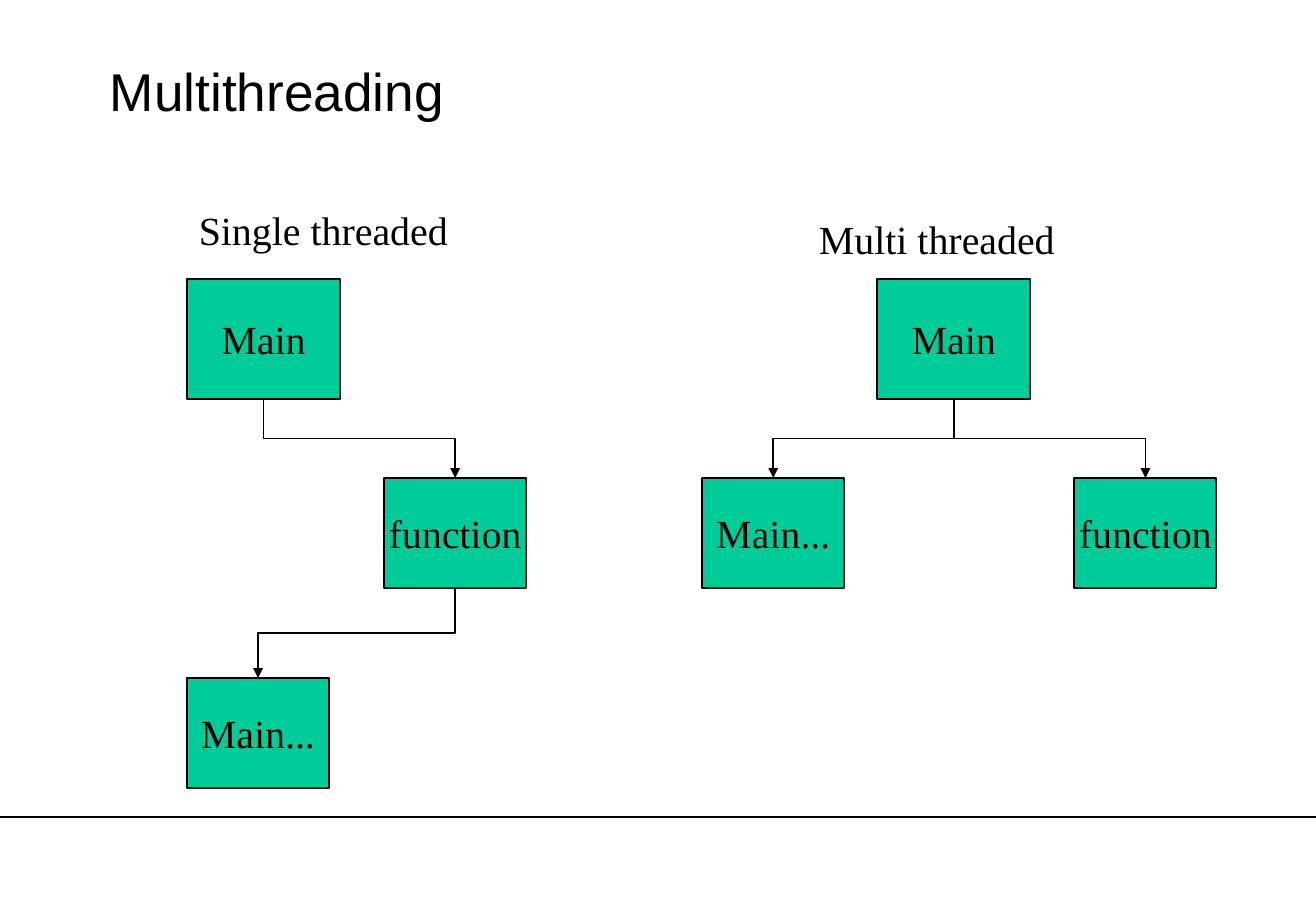
from lxml.etree import SubElement
from pptx import Presentation
from pptx.dml.color import RGBColor
from pptx.enum.shapes import MSO_CONNECTOR, MSO_SHAPE
from pptx.enum.text import MSO_ANCHOR, MSO_AUTO_SIZE, PP_ALIGN
from pptx.oxml.ns import qn
from pptx.util import Inches, Pt

EMU_PER_PX = 914400 / 119.6
COLORS = {"ink": "000000", "box": "00CC99"}


def px(length):
    return round(length * EMU_PER_PX)


class Diagram:
    heading_font = "Arial"
    body_font = "Times New Roman"
    body_size = 24

    def __init__(self, slide):
        self.slide = slide

    def color(self, name):
        return RGBColor.from_string(COLORS[name])

    def set_text(self, frame, text, font, size, align):
        frame.text = text
        paragraph = frame.paragraphs[0]
        paragraph.alignment = align
        paragraph.font.name = font
        paragraph.font.size = Pt(size)
        paragraph.font.color.rgb = self.color("ink")

    def title(self, text, left, top, width, height):
        heading = self.slide.shapes.title
        heading.left, heading.top = px(left), px(top)
        heading.width, heading.height = px(width), px(height)
        heading.text_frame.vertical_anchor = MSO_ANCHOR.MIDDLE
        self.set_text(heading.text_frame, text, self.heading_font, 32, PP_ALIGN.LEFT)

    def label(self, text, left, top, width, height, wrap):
        caption = self.slide.shapes.add_textbox(px(left), px(top), px(width), px(height))
        frame = caption.text_frame
        frame.word_wrap = wrap
        frame.auto_size = MSO_AUTO_SIZE.SHAPE_TO_FIT_TEXT
        self.set_text(frame, text, self.body_font, self.body_size, PP_ALIGN.LEFT)

    def box(self, text, left, top, width=142, height=110):
        step = self.slide.shapes.add_shape(
            MSO_SHAPE.RECTANGLE, px(left), px(top), px(width), px(height))
        step.shadow.inherit = False
        step.fill.solid()
        step.fill.fore_color.rgb = self.color("box")
        step.line.color.rgb = self.color("ink")
        step.line.width = Pt(1)
        frame = step.text_frame
        frame.word_wrap = False
        frame.vertical_anchor = MSO_ANCHOR.MIDDLE
        self.set_text(frame, text, self.body_font, self.body_size, PP_ALIGN.CENTER)
        return step

    def connector(self, kind, start, end, weight):
        link = self.slide.shapes.add_connector(kind, *start, *end)
        link.line.color.rgb = self.color("ink")
        link.line.width = Pt(weight)
        SubElement(link.element.spPr, qn("a:effectLst"))
        return link

    def rule(self, top, width):
        self.connector(MSO_CONNECTOR.STRAIGHT, (0, px(top)), (width, px(top)), 0.75)

    def arrow(self, caller, callee):
        link = self.connector(MSO_CONNECTOR.ELBOW, (0, 0), (0, 0), 1)
        link.begin_connect(caller, 2)
        link.end_connect(callee, 0)
        rightward = link.end_x > link.begin_x
        center_x = (link.begin_x + link.end_x) // 2
        center_y = (link.begin_y + link.end_y) // 2
        link.width, link.height = link.height, link.width
        link.left = center_x - link.width // 2
        link.top = center_y - link.height // 2
        properties = link.element.spPr
        properties.xfrm.rot = 270 if rightward else 90
        properties.xfrm.flipH = rightward
        SubElement(properties.find(qn("a:ln")), qn("a:tailEnd"), type="triangle")


def main():
    presentation = Presentation()
    presentation.slide_width = Inches(11)
    presentation.slide_height = Inches(7.5)
    slide = presentation.slides.add_slide(presentation.slide_layouts[5])
    diagram = Diagram(slide)

    diagram.rule(817, presentation.slide_width)
    diagram.title("Multithreading", 98, 30, 1018, 120)
    diagram.label("Single threaded", 187, 200, 341, 60, True)
    diagram.label("Multi threaded", 807, 209, 260, 60, False)

    single_left, multi_left = 187, 877
    calls = []
    for left in (single_left, multi_left):
        start = diagram.box("Main", left, 279, 153, 120)
        function = diagram.box("function", left + 197, 478)
        diagram.arrow(start, function)
        calls.append((start, function))

    (_, single_function), (multi_start, _) = calls
    diagram.arrow(single_function, diagram.box("Main...", single_left, 678))
    diagram.arrow(multi_start, diagram.box("Main...", multi_left - 175, 478))

    presentation.save("out.pptx")


if __name__ == "__main__":
    main()
